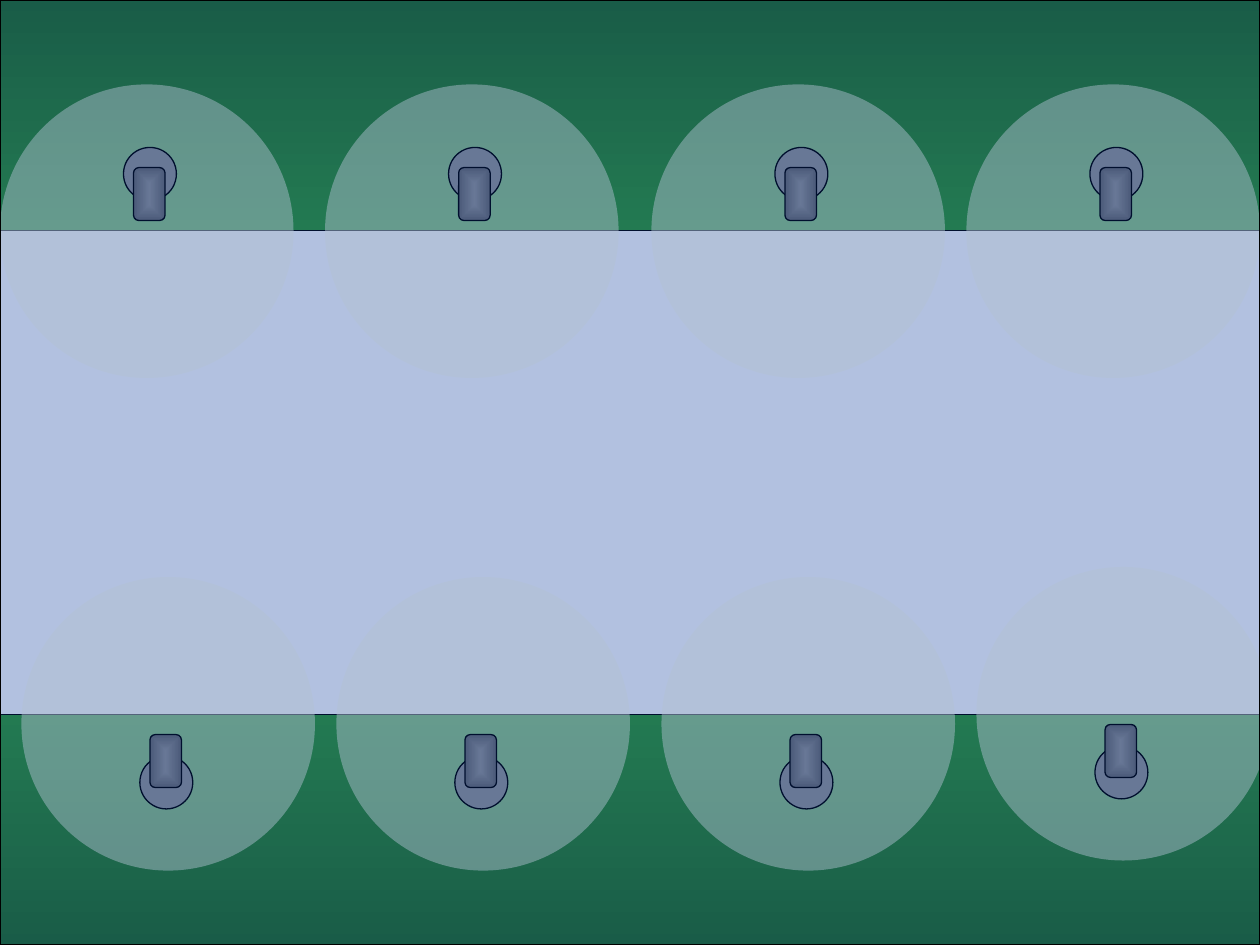
from lxml.etree import SubElement
from pptx import Presentation
from pptx.dml.color import RGBColor
from pptx.enum.dml import MSO_LINE
from pptx.enum.shapes import MSO_CONNECTOR, MSO_SHAPE
from pptx.oxml import parse_xml
from pptx.oxml.ns import nsdecls, qn
from pptx.util import Inches, Pt

COLORS = {
    "grass_dark": "256F25",
    "grass_light": "339933",
    "road_line": "FFFFFF",
    "glow": "FFFFEB",
    "lamp": "969696",
    "lamp_edge": "6C6C6C",
    "night": "003399",
    "outline": "000000",
}


def color(name):
    return RGBColor.from_string(COLORS[name])


def add_box(shapes, kind, left, top, width, height, fill=None, alpha=None,
            gradient=None, angle=None, outlined=True):
    """Add a shape; a gradient without an angle runs from the centre outwards."""
    box = shapes.add_shape(kind, Inches(left), Inches(top), Inches(width), Inches(height))
    box.shadow.inherit = False
    if gradient:
        box.fill.gradient()
        for stop, name in zip(box.fill.gradient_stops, gradient):
            stop.color.rgb = color(name)
        if angle is not None:
            box.fill.gradient_angle = angle
        else:
            linear = box.element.spPr.find(qn("a:gradFill")).find(qn("a:lin"))
            linear.getparent().replace(linear, parse_xml(
                f'<a:path {nsdecls("a")} path="rect">'
                '<a:fillToRect l="50000" t="50000" r="50000" b="50000"/></a:path>'))
    else:
        box.fill.solid()
        box.fill.fore_color.rgb = color(fill)
        if alpha is not None:
            rgb = box.element.spPr.find(qn("a:solidFill")).find(qn("a:srgbClr"))
            SubElement(rgb, qn("a:alpha")).set("val", str(alpha * 1000))
    if outlined:
        box.line.color.rgb = color("outline")
        box.line.width = Pt(0.75)
    else:
        box.line.fill.background()
    return box


deck = Presentation()
deck.slide_width, deck.slide_height = Inches(10), Inches(7.5)
page = deck.slides.add_slide(deck.slide_layouts[6])

# Grass verges, lighter towards the road
for top, angle in ((5.67, 90), (0, 270)):
    add_box(page.shapes, MSO_SHAPE.RECTANGLE, 0, top, 10, 1.83,
            gradient=("grass_dark", "grass_light"), angle=angle)

# Centre line of the road
center_line = page.shapes.add_connector(
    MSO_CONNECTOR.STRAIGHT, Inches(0), Inches(3.75), Inches(10), Inches(3.75))
center_line.line.color.rgb = color("road_line")
center_line.line.width = Pt(3)
center_line.line.dash_style = MSO_LINE.LONG_DASH
SubElement(center_line._element.spPr, qn("a:effectLst"))

# Street lamps: glow position, then offsets of post and head within the glow
upper_lamp = ((0.98, 0.5), (1.06, 0.66))
lower_lamp = ((0.94, 1.42), (1.02, 1.25))
lamps = [(left, 0.67, upper_lamp) for left in (0, 2.58, 5.17, 7.67)]
lamps += [(left, top, lower_lamp) for left, top in
          ((5.25, 4.58), (7.75, 4.5), (2.67, 4.58), (0.17, 4.58))]

for left, top, ((post_x, post_y), (head_x, head_y)) in lamps:
    lamp = page.shapes.add_group_shape()
    add_box(lamp.shapes, MSO_SHAPE.OVAL, left, top, 2.33, 2.33,
            fill="glow", alpha=47, outlined=False)
    add_box(lamp.shapes, MSO_SHAPE.OVAL, left + post_x, top + post_y, 0.42, 0.42,
            fill="lamp")
    head = add_box(lamp.shapes, MSO_SHAPE.ROUNDED_RECTANGLE,
                   left + head_x, top + head_y, 0.25, 0.42,
                   gradient=("lamp", "lamp_edge"))
    head.adjustments[0] = 0.17

# Night tint over the whole scene
add_box(page.shapes, MSO_SHAPE.RECTANGLE, 0, 0, 10, 7.5, fill="night", alpha=30)

deck.save("out.pptx")
